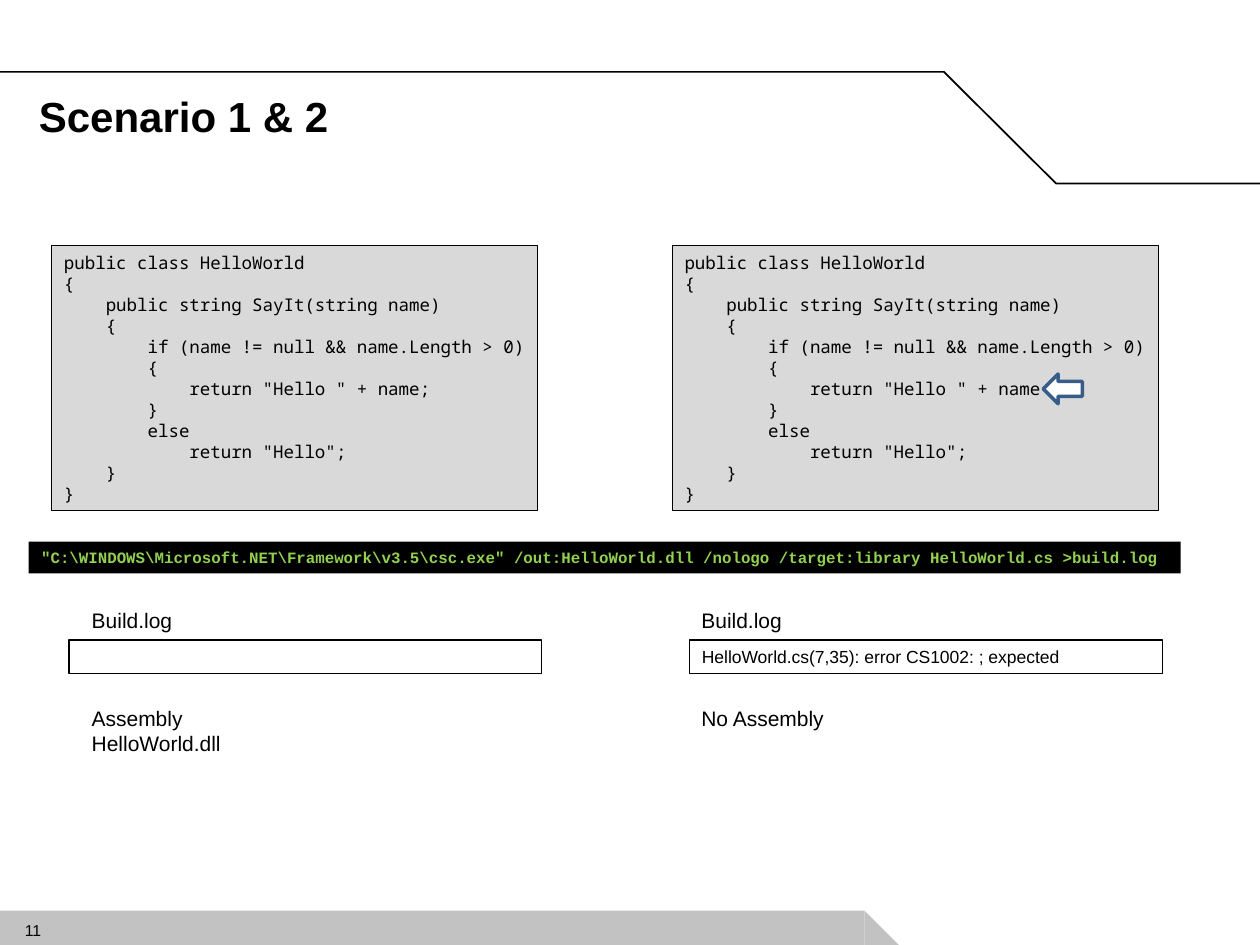
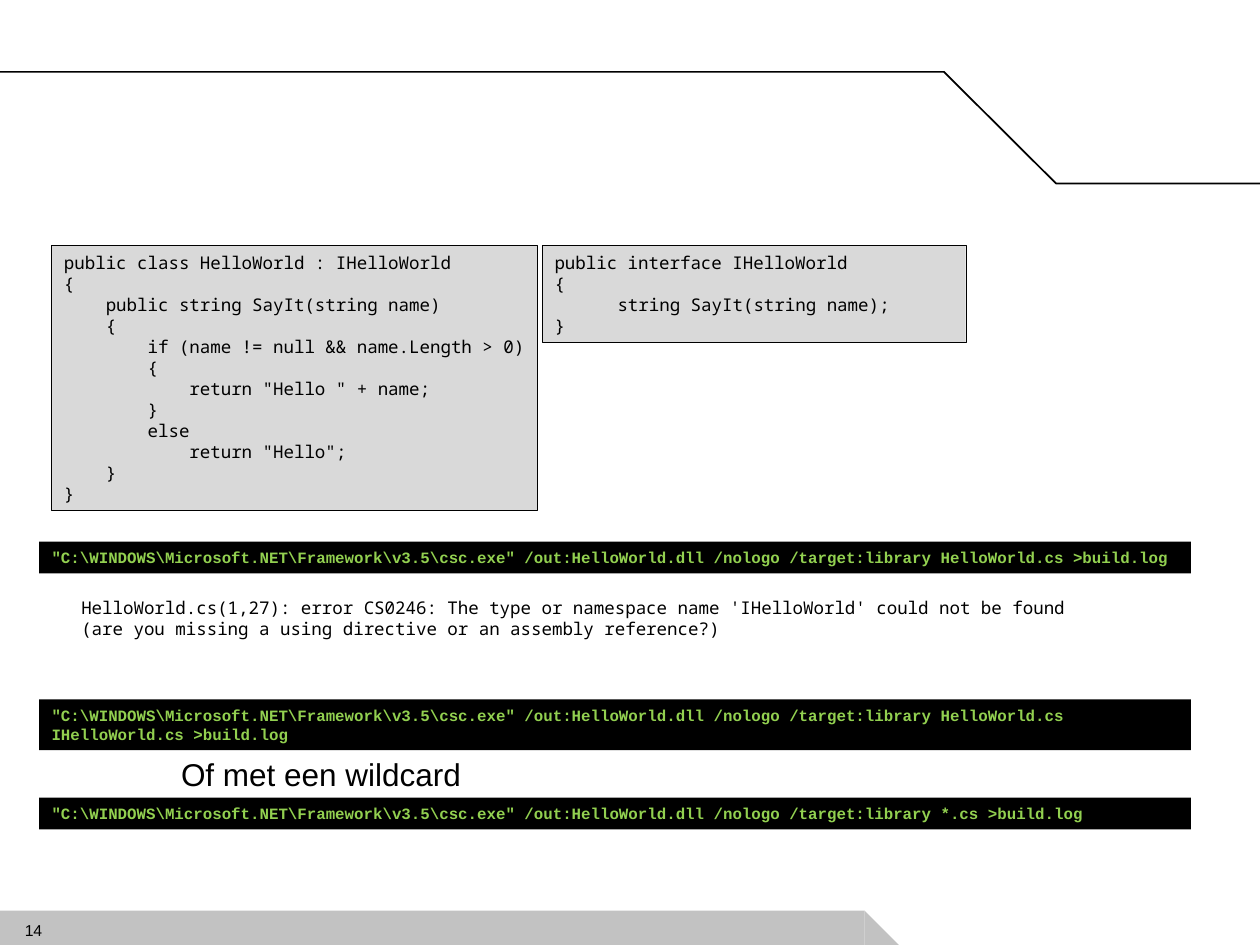
from dataclasses import dataclass

from pptx import Presentation
from pptx.dml.color import RGBColor
from pptx.enum.shapes import MSO_SHAPE
from pptx.enum.text import MSO_ANCHOR, MSO_AUTO_SIZE, PP_ALIGN
from pptx.util import Cm, Pt

RECTANGLE = MSO_SHAPE.RECTANGLE
TRIANGLE = MSO_SHAPE.RIGHT_TRIANGLE
LEFT_ARROW = MSO_SHAPE.LEFT_ARROW
TOP, MIDDLE = MSO_ANCHOR.TOP, MSO_ANCHOR.MIDDLE
FIT_SHAPE = MSO_AUTO_SIZE.SHAPE_TO_FIT_TEXT
LEFT = PP_ALIGN.LEFT

# Content
HELLO_CLASS = """public class HelloWorld{base}
{{
    public string SayIt(string name)
    {{
        if (name != null && name.Length > 0)
        {{
            return "Hello " + name{end}
        }}
        else
            return "Hello";
    }}
}}"""
HELLO_INTERFACE = """public interface IHelloWorld
{
\tstring SayIt(string name);
}"""
COMPILE = (r'"C:\WINDOWS\Microsoft.NET\Framework\v3.5\csc.exe" /out:HelloWorld.dll '
           "/nologo /target:library {sources} >build.log")

SCENARIO_TITLE = "Scenario 1 & 2"
SCENARIOS = [
    {"code": HELLO_CLASS.format(base="", end=";"), "log": "",
     "outcome": "Assembly HelloWorld.dll", "outcome_width": 5.05, "label_left": 1.6},
    {"code": HELLO_CLASS.format(base="", end=""),
     "log": "HelloWorld.cs(7,35): error CS1002: ; expected",
     "outcome": "No Assembly", "outcome_width": 3.0, "label_left": 13.89},
]
LOG_LABEL = "Build.log"

COMPILE_ERROR = ("HelloWorld.cs(1,27): error CS0246: The type or namespace name "
                 "'IHelloWorld' could not be found (are you missing a using "
                 "directive or an assembly reference?)")
WILDCARD_HINT = "Of met een wildcard"
# Source files, top of the band, lines of text
INTERFACE_COMMANDS = [
    ("HelloWorld.cs", 10.92, 1),
    ("HelloWorld.cs IHelloWorld.cs", 14.1, 2),
    ("*.cs", 16.08, 1),
]


# Theme
@dataclass(frozen=True)
class Style:
    size: float
    font: str = "Arial"
    color: str = "000000"
    bold: bool = False
    fill: str = ""
    line: str = ""
    weight: float = 0.25
    wrap: bool = True


class Theme:
    paper, ink, band, arrow_line = "FFFFFF", "000000", "C2C2C2", "385D8A"
    title = Style(24, bold=True)
    number = Style(9)
    code = Style(10, "Noto Sans Mono", fill="D9D9D9", line="000000", wrap=False)
    error = Style(10, "Noto Sans Mono")
    command = Style(9, "Courier New", "92D050", bold=True, fill="000000")
    log = Style(10, line="000000", weight=0.75)
    label = Style(12, wrap=False)
    hint = Style(18, wrap=False)


# Shared layout, in centimetres
SLIDE_WIDTH, SLIDE_HEIGHT = 25.4, 19.05
CODE_LEFT, CODE_TOP, CODE_WIDTH = 1.04, 4.95, 9.8
COMMAND_TOP, COMMAND_WIDTH = 10.92, 23.22
SCENARIO_STEP = 12.51
PADDING, LINE_SPACING = 0.26, 1.2
TITLE_RULE = [(0, 1.45), (19.03, 1.45), (21.29, 3.7), (25.4, 3.7)]
BAND_WIDTH, BAND_HEIGHT = 17.43, 0.69


def rgb(value):
    return RGBColor.from_string(value)


def paint(shape, fill="", line="", weight=1.0):
    shape.shadow.inherit = False
    if fill:
        shape.fill.solid()
        shape.fill.fore_color.rgb = rgb(fill)
    else:
        shape.fill.background()
    if line:
        shape.line.color.rgb = rgb(line)
        shape.line.width = Pt(weight)
    else:
        shape.line.fill.background()


def write(frame, text, style):
    frame.text = text
    for paragraph in frame.paragraphs:
        paragraph.alignment = LEFT
        for run in paragraph.runs:
            run.font.name = style.font
            run.font.size = Pt(style.size)
            run.font.bold = style.bold
            run.font.color.rgb = rgb(style.color)


def add_block(slide, text, left, top, width, style, lines=None):
    """Add text whose height follows from its number of lines."""
    lines = lines or text.count("\n") + 1
    height = Cm(PADDING) + Pt(lines * style.size * LINE_SPACING)
    box = Cm(left), Cm(top), Cm(width), height
    if style.fill or style.line:
        block = slide.shapes.add_shape(RECTANGLE, *box)
        paint(block, style.fill, style.line, style.weight)
    else:
        block = slide.shapes.add_textbox(*box)
    if text:
        frame = block.text_frame
        frame.word_wrap = style.wrap
        frame.auto_size = FIT_SHAPE
        frame.vertical_anchor = TOP
        write(frame, text, style)


def add_command(slide, sources, left, top, lines=1):
    add_block(slide, COMPILE.format(sources=sources), left, top, COMMAND_WIDTH,
              Theme.command, lines)


def add_frame(prs, layout_index, number):
    """Start a slide with the title rule, footer band and number."""
    slide = prs.slides.add_slide(prs.slide_layouts[layout_index])
    slide.background.fill.solid()
    slide.background.fill.fore_color.rgb = rgb(Theme.paper)

    points = [(Cm(x), Cm(y)) for x, y in TITLE_RULE]
    builder = slide.shapes.build_freeform(*points[0])
    builder.add_line_segments(points[1:], close=False)
    paint(builder.convert_to_shape(), line=Theme.ink)

    band_top = SLIDE_HEIGHT - BAND_HEIGHT
    for kind, left, width in [(RECTANGLE, 0, BAND_WIDTH),
                              (TRIANGLE, BAND_WIDTH, BAND_HEIGHT)]:
        band = slide.shapes.add_shape(kind, Cm(left), Cm(band_top),
                                      Cm(width), Cm(BAND_HEIGHT))
        paint(band, Theme.band)

    page = slide.shapes.add_textbox(Cm(0.5), Cm(18.57), Cm(0.8), Cm(0.38)).text_frame
    page.margin_left = page.margin_right = page.margin_top = page.margin_bottom = 0
    page.word_wrap = True
    write(page, str(number), Theme.number)
    return slide


def build_scenarios(prs):
    slide = add_frame(prs, 5, 11)
    title = slide.shapes.title
    title.left, title.top, title.width, title.height = (
        Cm(0.53), Cm(1.7), Cm(18.64), Cm(1.27))
    title.text_frame.vertical_anchor = MIDDLE
    write(title.text_frame, SCENARIO_TITLE, Theme.title)

    for column, scenario in enumerate(SCENARIOS):
        shift = column * SCENARIO_STEP
        label_left = scenario["label_left"]
        add_block(slide, scenario["code"], CODE_LEFT + shift, CODE_TOP,
                  CODE_WIDTH, Theme.code)
        add_block(slide, LOG_LABEL, label_left, 12.12, 2.13, Theme.label)
        add_block(slide, scenario["log"], 1.39 + shift, 12.9, 9.53, Theme.log)
        add_block(slide, scenario["outcome"], label_left, 14.1,
                  scenario["outcome_width"], Theme.label)
    add_command(slide, "HelloWorld.cs", 0.58, COMMAND_TOP)

    # Arrow at the missing semicolon
    arrow = slide.shapes.add_shape(LEFT_ARROW, Cm(21.03), Cm(7.54), Cm(0.79), Cm(0.6))
    paint(arrow, Theme.paper, Theme.arrow_line, 2)


def build_interface(prs):
    slide = add_frame(prs, 6, 14)
    add_block(slide, HELLO_CLASS.format(base=" : IHelloWorld", end=";"),
              CODE_LEFT, CODE_TOP, CODE_WIDTH, Theme.code)
    add_block(slide, HELLO_INTERFACE, 10.93, CODE_TOP, 8.54, Theme.code)
    add_block(slide, COMPILE_ERROR, 1.39, 11.91, 20.45, Theme.error, lines=2)
    for sources, top, lines in INTERFACE_COMMANDS:
        add_command(slide, sources, 0.79, top, lines)
    add_block(slide, WILDCARD_HINT, 3.4, 15.09, 6.15, Theme.hint)


def main():
    prs = Presentation()
    prs.slide_width, prs.slide_height = Cm(SLIDE_WIDTH), Cm(SLIDE_HEIGHT)
    build_scenarios(prs)
    build_interface(prs)
    prs.save("out.pptx")


if __name__ == "__main__":
    main()
